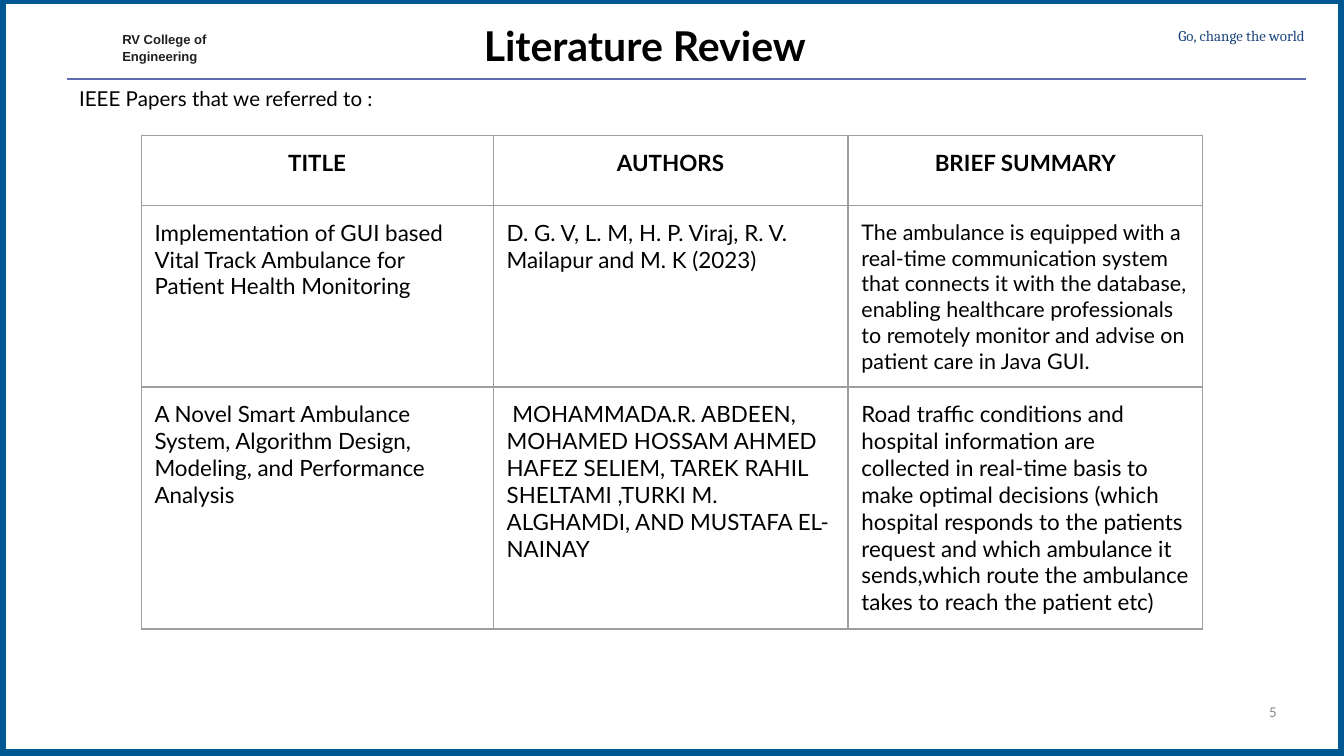
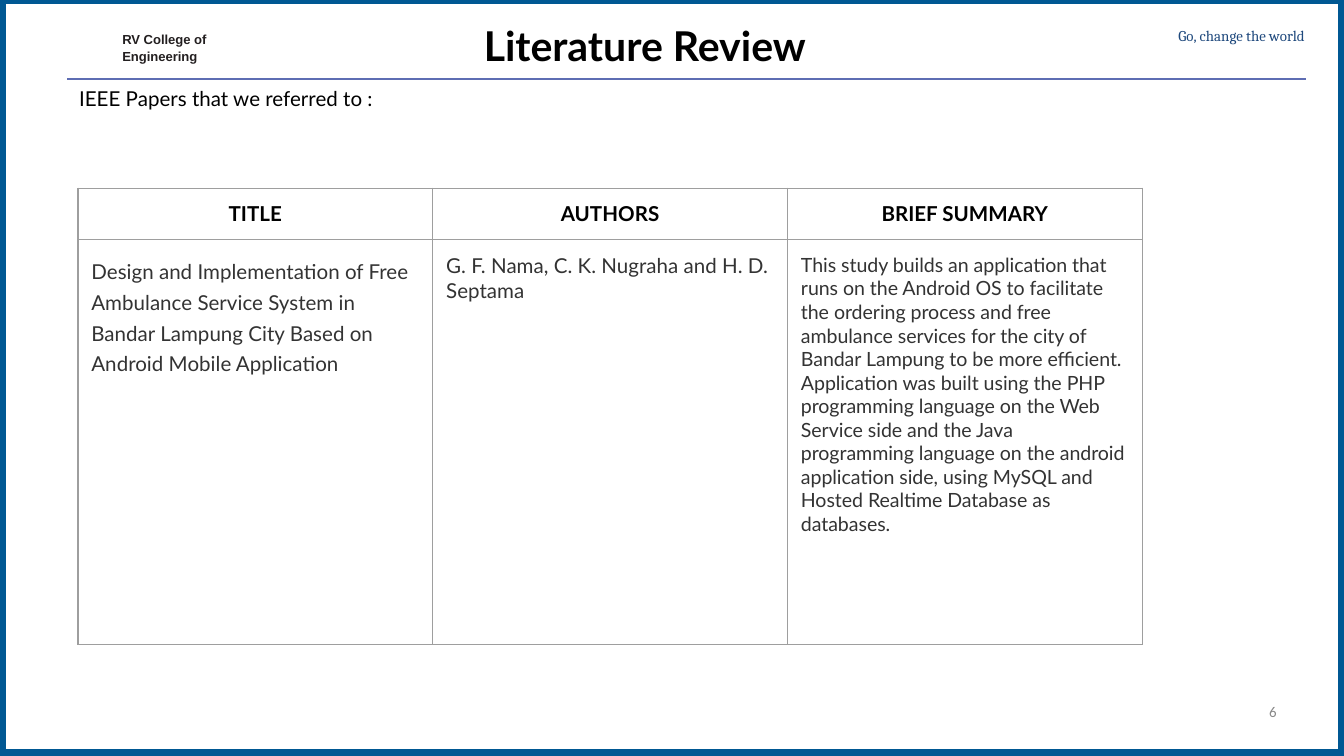
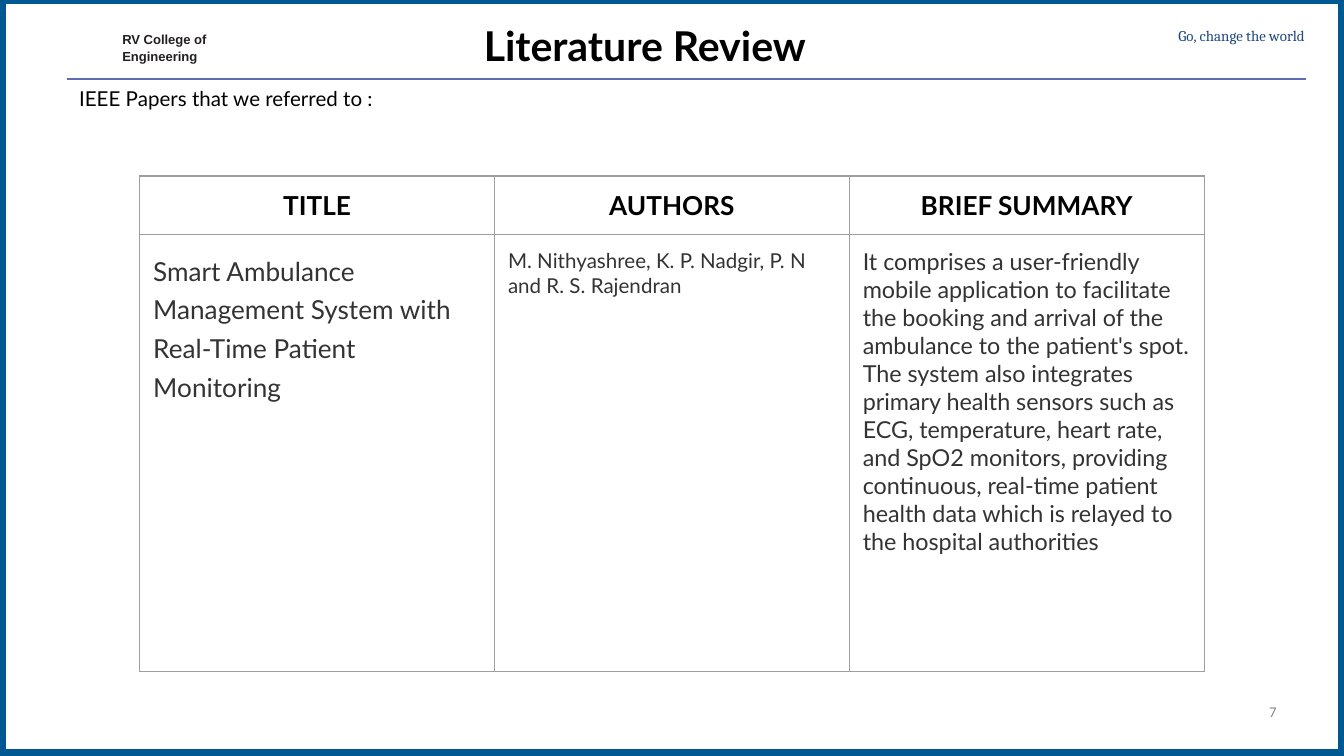
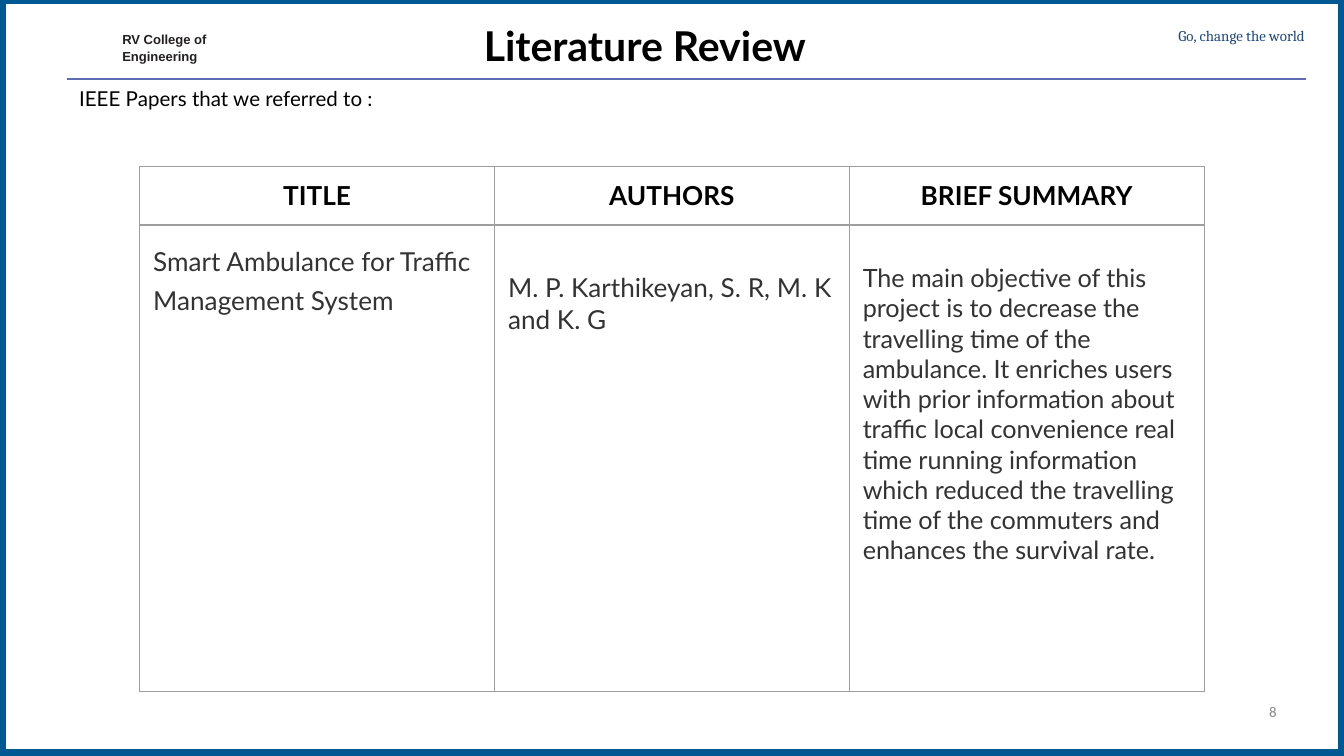
from pptx import Presentation
from pptx.dml.color import RGBColor
from pptx.enum.shapes import MSO_CONNECTOR, MSO_SHAPE
from pptx.enum.text import MSO_ANCHOR, PP_ALIGN
from pptx.oxml import parse_xml
from pptx.oxml.ns import nsdecls
from pptx.oxml.xmlchemy import OxmlElement
from pptx.util import Inches, Pt

SLIDE_W = 10
SLIDE_H = SLIDE_W * 9 / 16
WHITE, BLACK, DARK_GREY = "FFFFFF", "000000", "333333"
FRAME_BLUE, RULE_BLUE, MOTTO_BLUE = "005893", "5E6DB3", "1F497D"
COLLEGE_INK, NUMBER_GREY, GRID_GREY = "231F20", "898989", "9E9E9E"
BODY_FONT = "Lato"
CELL_MARGIN = 0.1
COLUMN_W = 2.64
HEADINGS = ("TITLE", "AUTHORS", "BRIEF SUMMARY")
LOOSE = 1.24

# Each paper cell is (text, size) plus optional line spacing and extra top margin.
REVIEWS = [
    dict(
        number=5, left=1.05, top=1.01, columns=(2.62, COLUMN_W, COLUMN_W),
        rows=(0.52, 1.35, 1.8), heading_size=12, ink=BLACK,
        papers=[
            [("Implementation of GUI based Vital Track Ambulance for Patient "
              "Health Monitoring", 12),
             ("D. G. V, L. M, H. P. Viraj, R. V. Mailapur and M. K (2023)", 12),
             ("The ambulance is equipped with a real-time communication system "
              "that connects it with the database, enabling healthcare "
              "professionals to remotely monitor and advise on patient care in "
              "Java GUI.", 11.5)],
            [("A Novel Smart Ambulance System, Algorithm Design, Modeling, and "
              "Performance Analysis", 12),
             (" MOHAMMADA.R. ABDEEN, MOHAMED HOSSAM AHMED HAFEZ SELIEM, TAREK "
              "RAHIL SHELTAMI ,TURKI M. ALGHAMDI, AND MUSTAFA EL-NAINAY", 12),
             ("Road traffic conditions and hospital information are collected "
              "in real-time basis to make optimal decisions (which hospital "
              "responds to the patients request and which ambulance it "
              "sends,which route the ambulance takes to reach the patient "
              "etc)", 12)],
        ]),
    dict(
        number=6, left=0.58, top=1.4, columns=(COLUMN_W,) * 3,
        rows=(0.38, 3.01), heading_size=11, ink=DARK_GREY,
        papers=[
            [("Design and Implementation of Free Ambulance Service System in "
              "Bandar Lampung City Based on Android Mobile Application",
              11, LOOSE),
             ("G. F. Nama, C. K. Nugraha and H. D. Septama", 11),
             ("This study builds an application that runs on the Android OS to "
              "facilitate the ordering process and free ambulance services for "
              "the city of Bandar Lampung to be more efficient. Application "
              "was built using the PHP programming language on the Web Service "
              "side and the Java programming language on the android "
              "application side, using MySQL and Hosted Realtime Database as "
              "databases.", 10.5)],
        ]),
    dict(
        number=7, left=1.04, top=1.31, columns=(COLUMN_W,) * 3,
        rows=(0.43, 3.25), heading_size=14, ink=DARK_GREY,
        papers=[
            [("Smart Ambulance Management System with Real-Time Patient "
              "Monitoring", 14, LOOSE),
             ("M. Nithyashree, K. P. Nadgir, P. N and R. S. Rajendran", 11),
             ("It comprises a user-friendly mobile application to facilitate "
              "the booking and arrival of the ambulance to the patient's spot. "
              "The system also integrates primary health sensors such as ECG, "
              "temperature, heart rate, and SpO2 monitors, providing "
              "continuous, real-time patient health data which is relayed to "
              "the hospital authorities", 12.5)],
        ]),
    dict(
        number=8, left=1.04, top=1.24, columns=(COLUMN_W,) * 3,
        rows=(0.43, 3.47), heading_size=14, ink=DARK_GREY,
        papers=[
            [("Smart Ambulance for Traffic Management System", 14, LOOSE),
             ("M. P. Karthikeyan, S. R, M. K and K. G", 14, None, 0.25),
             ("The main objective of this project is to decrease the "
              "travelling time of the ambulance. It enriches users with prior "
              "information about traffic local convenience real time running "
              "information which reduced the travelling time of the commuters "
              "and enhances the survival rate.", 13.5, None, 0.18)],
        ]),
]


def rgb(value):
    return RGBColor.from_string(value)


def style(paragraph, size, color, font=BODY_FONT, bold=False,
          align=PP_ALIGN.LEFT, spacing=None):
    paragraph.alignment = align
    if spacing:
        paragraph.line_spacing = spacing
    paragraph.font.size = Pt(size)
    paragraph.font.name = font
    paragraph.font.bold = bold
    paragraph.font.color.rgb = rgb(color)


def add_label(slide, box, text, size, color, margins=(0, 0, 0, 0), **looks):
    """Add a text box; each line of the text becomes a paragraph."""
    frame = slide.shapes.add_textbox(*map(Inches, box)).text_frame
    frame.word_wrap = True
    (frame.margin_left, frame.margin_top,
     frame.margin_right, frame.margin_bottom) = map(Inches, margins)
    frame.text = text
    for paragraph in frame.paragraphs:
        style(paragraph, size, color, **looks)


def add_frame(slide):
    """Add what every slide shares: border, rule, college name and motto."""
    border = slide.shapes.add_shape(
        MSO_SHAPE.RECTANGLE, *map(Inches, (0, -0.01, SLIDE_W, SLIDE_H)))
    border.shadow.inherit = False
    border.fill.solid()
    border.fill.fore_color.rgb = rgb(WHITE)
    border.line.color.rgb = rgb(FRAME_BLUE)
    border.line.width = Pt(6)

    rule = slide.shapes.add_connector(
        MSO_CONNECTOR.STRAIGHT, *map(Inches, (0.5, 0.59, 9.72, 0.59)))
    rule.line.color.rgb = rgb(RULE_BLUE)
    rule.line.width = Pt(1.25)
    rule._element.spPr.append(OxmlElement("a:effectLst"))

    add_label(slide, (0.91, 0.22, 0.68, 0.24), "RV College of\nEngineering",
              7, COLLEGE_INK, (0, 0.01, 0, 0), font="Arial", bold=True,
              spacing=1.06)
    add_label(slide, (7.88, 0.2, 1.83, 0.23), "Go, change the world",
              8, MOTTO_BLUE, font="Cambria", align=PP_ALIGN.RIGHT)


def add_headings(slide, number):
    add_label(slide, (7.2, 5.23, 2.3, 0.13), str(number), 8, NUMBER_GREY,
              font="Calibri", align=PP_ALIGN.RIGHT)
    add_label(slide, (3.55, 0.13, 4.7, 0.42), "Literature Review", 22, BLACK,
              (0.05, 0.02, 0.05, 0.02), bold=True)
    add_label(slide, (0.49, 0.55, 4.11, 0.52),
              "IEEE Papers that we referred to :", 11, BLACK, (0.1,) * 4)


def add_borders(cell):
    properties = cell._tc.get_or_add_tcPr()
    for position, side in enumerate(("lnL", "lnR", "lnT", "lnB")):
        properties.insert(position, parse_xml(
            f'<a:{side} {nsdecls("a")} w="{Pt(0.75)}"><a:solidFill>'
            f'<a:srgbClr val="{GRID_GREY}"/></a:solidFill></a:{side}>'))


def fill_cell(cell, text, size, spacing=None, extra_top=0, **looks):
    cell.fill.background()
    add_borders(cell)
    cell.vertical_anchor = MSO_ANCHOR.TOP
    cell.margin_left = cell.margin_right = Inches(CELL_MARGIN)
    cell.margin_bottom = Inches(CELL_MARGIN)
    cell.margin_top = Inches(CELL_MARGIN + extra_top)
    cell.text = text
    style(cell.text_frame.paragraphs[0], size, spacing=spacing, **looks)


def add_paper_table(slide, left, top, columns, rows, heading_size, ink, papers):
    box = map(Inches, (left, top, sum(columns), sum(rows)))
    table = slide.shapes.add_table(len(rows), len(columns), *box).table
    table.first_row = table.horz_banding = False
    for column, width in zip(table.columns, columns):
        column.width = Inches(width)
    for row, height in zip(table.rows, rows):
        row.height = Inches(height)
    for index, heading in enumerate(HEADINGS):
        fill_cell(table.cell(0, index), heading, heading_size, color=BLACK,
                  bold=True, align=PP_ALIGN.CENTER)
    for row_index, paper in enumerate(papers, start=1):
        for index, content in enumerate(paper):
            fill_cell(table.cell(row_index, index), *content, color=ink)


def add_review_slide(deck, number, **table):
    slide = deck.slides.add_slide(deck.slide_layouts[6])
    add_frame(slide)
    add_headings(slide, number)
    add_paper_table(slide, **table)


def main():
    deck = Presentation()
    deck.slide_width, deck.slide_height = Inches(SLIDE_W), Inches(SLIDE_H)
    for review in REVIEWS:
        add_review_slide(deck, **review)
    deck.save("out.pptx")


if __name__ == "__main__":
    main()
